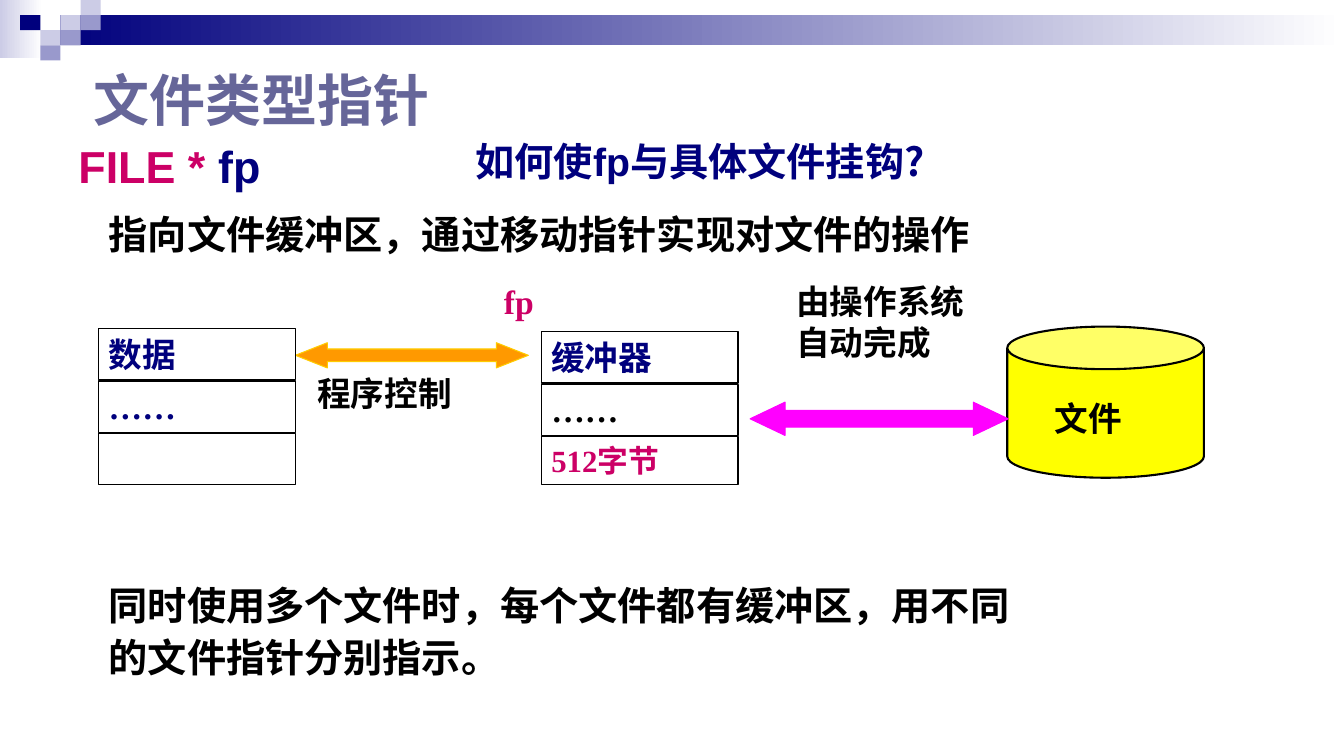
import dataclasses

import lxml.etree
import pptx
import pptx.dml.color
import pptx.enum.shapes
import pptx.enum.text
import pptx.oxml.ns
import pptx.util

Inches, Pt = pptx.util.Inches, pptx.util.Pt
Shape = pptx.enum.shapes.MSO_SHAPE
Anchor = pptx.enum.text.MSO_ANCHOR
qn = pptx.oxml.ns.qn


@dataclasses.dataclass(frozen=True)
class Theme:
    navy: str = "00007D"
    lilac: str = "CCCCE6"
    violet: str = "9999CC"
    heading: str = "666699"
    crimson: str = "CC0066"
    black: str = "000000"
    white: str = "FFFFFF"
    yellow: str = "FFFF00"
    magenta: str = "FF00FF"
    orange: str = "FF9900"
    amber: str = "FFCC00"
    sans: str = "Arial"
    serif: str = "Times New Roman"
    cjk: str = "Noto Sans CJK SC"
    title_size: int = 40
    declaration_size: int = 32
    body_size: int = 28
    label_size: int = 24
    note_size: int = 22


theme = Theme()

# Content
TITLE = "文件类型指针"
DECLARATION = [("FILE * ", theme.crimson, theme.sans), ("fp", theme.navy, theme.sans)]
EXPLANATION = "指向文件缓冲区，通过移动指针实现对文件的操作"
QUESTION = [
    ("如何使", theme.navy, theme.cjk),
    ("fp", theme.navy, theme.sans),
    ("与具体", theme.navy, theme.cjk),
    ("文件", theme.navy, theme.sans),
    ("挂钩?", theme.navy, theme.cjk),
]
CONCLUSION = "同时使用多个文件时，每个文件都有缓冲区，用不同的文件指针分别指示。"

# Each stack: left, top, rows of (text, colour, size, height)
STACKS = [
    (0.98, 3.26, [
        ("数据", theme.navy, theme.label_size, 0.51),
        ("……", theme.navy, theme.label_size, 0.51),
        ("", theme.navy, theme.label_size, 0.51),
    ]),
    (5.37, 3.29, [
        ("缓冲器", theme.navy, theme.label_size, 0.51),
        ("……", theme.black, theme.label_size, 0.51),
        ("512字节", theme.crimson, theme.note_size, 0.48),
    ]),
]
STACK_WIDTH, ROW_PITCH = 1.95, 0.52

# Arrows: box, head adjustment, fill, line
ARROWS = [
    ((7.44, 3.99, 2.56, 0.33), 1.05, theme.magenta, theme.magenta),
    ((2.93, 3.4, 2.31, 0.25), 1.267, theme.orange, theme.amber),
]
LABELS = [
    ("文件", theme.black, (10.36, 3.9, 1.34, 0.5)),
    ("由操作系统自动完成", theme.black, (7.8, 2.74, 2.07, 1.31)),
    ("程序控制", theme.black, (3.05, 3.65, 2.44, 0.5)),
    ("fp", theme.crimson, (4.9, 2.74, 0.58, 0.5)),
]

# Banner: gradient bars, then checker tiles as (column, row, colour)
BARS = [
    ((0, 0, 0.42, 0.58), theme.lilac),
    ((0.6, 0.15, 12.73, 0.3), theme.navy),
]
TILE_WIDTH, TILE_HEIGHT = 0.2, 0.15
TILES = [
    (3, 1, theme.lilac), (4, 0, theme.lilac), (4, 1, theme.violet),
    (2, 2, theme.lilac), (1, 1, theme.navy), (3, 2, theme.violet),
    (2, 3, theme.violet),
]


def rgb(colour):
    return pptx.dml.color.RGBColor.from_string(colour)


def style(font, size, colour, name):
    font.size, font.bold, font.name = Pt(size), True, name
    font.color.rgb = rgb(colour)


def write(paragraph, content, size, colour=theme.black, name=theme.sans):
    """Fill a paragraph from one string or from (text, colour, font) runs."""
    if isinstance(content, str):
        paragraph.text = content
        style(paragraph.font, size, colour, name)
        return
    for text, run_colour, run_name in content:
        run = paragraph.add_run()
        run.text = text
        style(run.font, size, run_colour, run_name)


def add_text(box):
    frame = slide.shapes.add_textbox(*map(Inches, box)).text_frame
    frame.word_wrap = True
    return frame


def add_shape(kind, box, fill=None, line=None, line_width=0.75):
    shape = slide.shapes.add_shape(kind, *map(Inches, box))
    shape.shadow.inherit = False
    if fill:
        shape.fill.solid()
        shape.fill.fore_color.rgb = rgb(fill)
    else:
        shape.fill.background()
    if line:
        shape.line.color.rgb = rgb(line)
        shape.line.width = Pt(line_width)
    else:
        shape.line.fill.background()
    return shape


presentation = pptx.Presentation()
presentation.slide_width, presentation.slide_height = Inches(13.33), Inches(7.5)
slide = presentation.slides.add_slide(presentation.slide_layouts[5])

# Banner
for box, start in BARS:
    bar = add_shape(Shape.RECTANGLE, box)
    bar.fill.gradient()
    bar.fill.gradient_angle = 0
    for stop, colour in zip(bar.fill.gradient_stops, (start, theme.white)):
        stop.color.rgb = rgb(colour)
for column, row, colour in TILES:
    add_shape(Shape.RECTANGLE, (column * TILE_WIDTH, row * TILE_HEIGHT,
                                TILE_WIDTH, TILE_HEIGHT), colour)

# Title
title = slide.shapes.title
title.left, title.top, title.width, title.height = map(Inches, (0.83, 0.5, 8.99, 0.97))
title.text_frame.vertical_anchor = Anchor.MIDDLE
heading = title.text_frame.paragraphs[0]
write(heading, TITLE, theme.title_size, theme.heading)
heading.alignment = pptx.enum.text.PP_ALIGN.LEFT

# Declaration and its explanation
body = add_text((0.68, 1.39, 9.21, 1.26))
declaration = body.paragraphs[0]
write(declaration, DECLARATION, theme.declaration_size)
declaration.line_spacing = 0.9
explanation = body.add_paragraph()
write(explanation, EXPLANATION, theme.body_size)
explanation.line_spacing = 1.2
explanation.space_before = Pt(0.2 * theme.body_size)
explanation_format = explanation._p.get_or_add_pPr()
explanation_format.set("marL", str(Inches(0.42)))
explanation_format.set("indent", str(Inches(-0.12)))
bullet = lxml.etree.Element(qn("a:buNone"))
explanation_format.find(qn("a:defRPr")).addprevious(bullet)

# File drum and arrows
drum = add_shape(Shape.CAN, (9.99, 3.24, 1.95, 1.5), theme.yellow, theme.black, 1.5)
drum.adjustments[0] = 0.282
for box, head, fill, line in ARROWS:
    arrow = add_shape(Shape.LEFT_RIGHT_ARROW, box, fill, line)
    arrow.adjustments[0], arrow.adjustments[1] = 0.5, head

# Data and buffer stacks
for left, top, rows in STACKS:
    for index, (text, colour, size, height) in enumerate(rows):
        cell = add_shape(Shape.RECTANGLE, (left, top + index * ROW_PITCH,
                                           STACK_WIDTH, height), line=theme.black)
        if text:
            cell.text_frame.vertical_anchor = Anchor.TOP
            entry = cell.text_frame.paragraphs[0]
            write(entry, text, size, colour, theme.serif)
            entry.alignment = pptx.enum.text.PP_ALIGN.LEFT

# Diagram labels
for text, colour, box in LABELS:
    write(add_text(box).paragraphs[0], text, theme.label_size, colour, theme.serif)

# Conclusion and question
conclusion = add_text((0.98, 5.67, 9.21, 1.13)).paragraphs[0]
write(conclusion, CONCLUSION, theme.body_size)
conclusion.line_spacing = 1.1
write(add_text((4.62, 1.31, 4.83, 0.57)).paragraphs[0], QUESTION, theme.body_size)

presentation.save("out.pptx")
